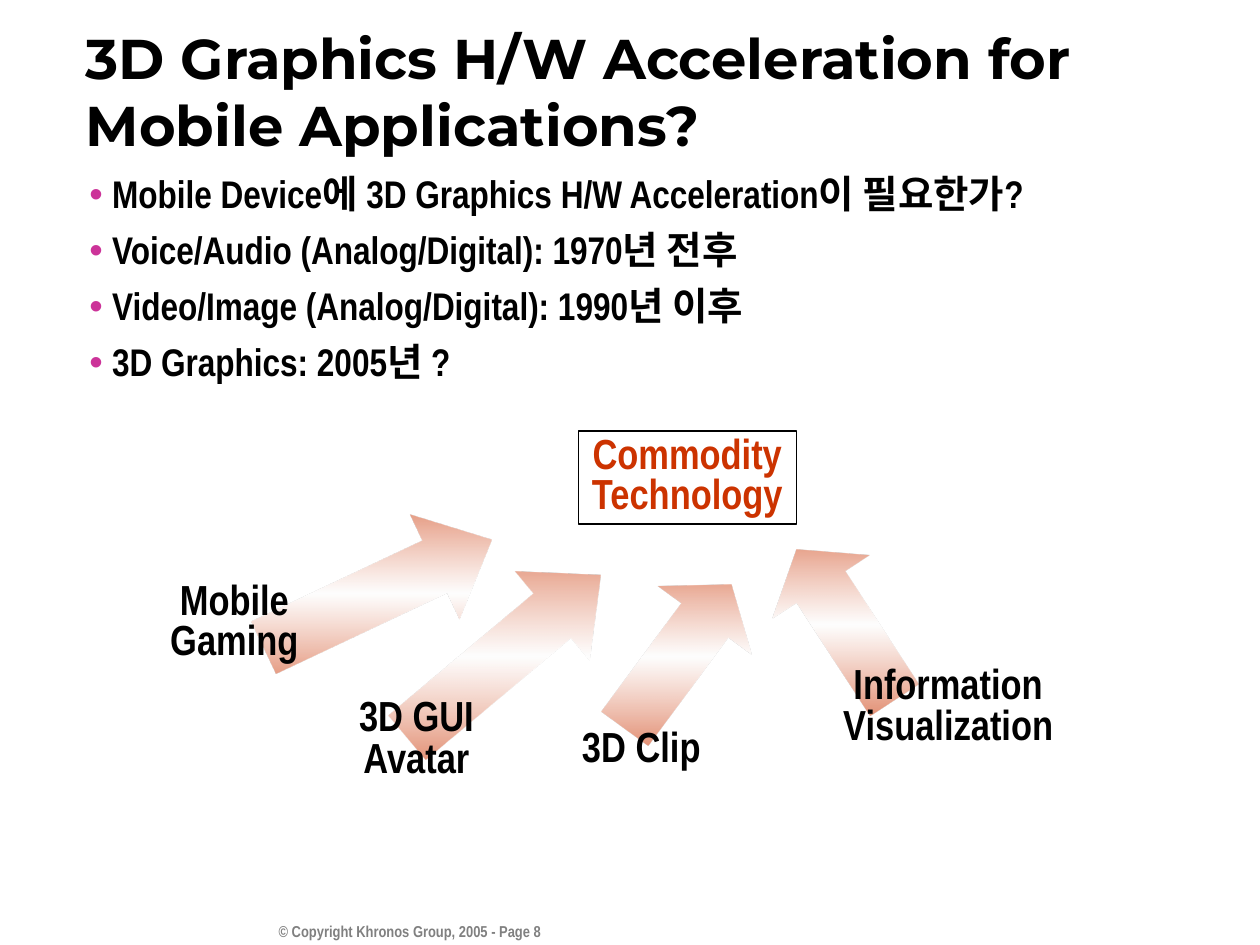
from dataclasses import dataclass

import lxml.etree
import pptx
import pptx.dml.color
import pptx.enum.shapes
import pptx.enum.text
import pptx.oxml
import pptx.oxml.ns
import pptx.util

Inches = pptx.util.Inches
Pt = pptx.util.Pt
RGBColor = pptx.dml.color.RGBColor
Align = pptx.enum.text.PP_ALIGN
Anchor = pptx.enum.text.MSO_ANCHOR
AutoSize = pptx.enum.text.MSO_AUTO_SIZE
Preset = pptx.enum.shapes.MSO_SHAPE
qn = pptx.oxml.ns.qn

BLACK = RGBColor(0x00, 0x00, 0x00)
WHITE = RGBColor(0xFF, 0xFF, 0xFF)
GRAY = RGBColor(0x80, 0x80, 0x80)
RED = RGBColor(0xCC, 0x33, 0x00)
PALE = RGBColor(0xFE, 0xFE, 0xFE)
MAGENTA = RGBColor(0xCC, 0x33, 0x99)

NARROW = "Arial Narrow"
DISPLAY = "Montserrat"
# Position in percent, colour, opacity in percent
ARROW_STOPS = [(0, RED, 65), (50, PALE, 55), (100, RED, 65)]
ARROW_HEIGHT = 0.92


@dataclass
class Box:
    left: float
    top: float
    width: float
    height: float

    def lengths(self) -> list:
        return [Inches(v) for v in (self.left, self.top, self.width, self.height)]


@dataclass
class Arrow:
    left: float
    top: float
    width: float
    rotation: float
    head: float


@dataclass
class Label:
    text: str
    box: Box


TITLE = "3D Graphics H/W Acceleration for Mobile Applications?"
QUESTIONS = [
    "Mobile Device에 3D Graphics H/W Acceleration이 필요한가?",
    "Voice/Audio (Analog/Digital): 1970년 전후",
    "Video/Image (Analog/Digital): 1990년 이후",
    "3D Graphics: 2005년 ?",
]
COPYRIGHT = "© Copyright Khronos Group, 2005 - Page 8"
ARROWS = [
    Arrow(2, 4.25, 2, 334.7, 0.546),
    Arrow(3, 4.75, 2, 320, 0.546),
    Arrow(4.67, 4.75, 1.42, 306.3, 0.386),
    Arrow(6, 4.5, 1.42, 236.9, 0.386),
]
APPLICATIONS = [
    Label("Mobile\vGaming", Box(1.25, 4.58, 1.22, 0.74)),
    Label("3D GUI", Box(2.75, 5.5, 1.11, 0.42)),
    Label("Avatar", Box(2.78, 5.83, 1.05, 0.42)),
    Label("Information\vVisualization", Box(6.59, 5.25, 1.87, 0.74)),
    Label("3D Clip", Box(4.52, 5.75, 1.14, 0.42)),
]


def add_bullet(paragraph) -> None:
    properties = paragraph._p.get_or_add_pPr()
    properties.set("marL", str(Inches(0.18)))
    properties.set("indent", str(-Inches(0.18)))
    colour = lxml.etree.SubElement(properties, qn("a:buClr"))
    lxml.etree.SubElement(colour, qn("a:srgbClr"), val=str(MAGENTA))
    lxml.etree.SubElement(properties, qn("a:buChar"), char="•")


def write(shape, lines: list[str], *, size: float, font: str = NARROW,
          color: RGBColor = BLACK, align=Align.LEFT, anchor=Anchor.TOP,
          spacing: float = 1.0, before: float = 0, bulleted: bool = False,
          wrap: bool = True, auto_size=AutoSize.NONE) -> None:
    """Fill a shape with one bold paragraph per line."""
    frame = shape.text_frame
    frame.word_wrap = wrap
    frame.auto_size = auto_size
    frame.vertical_anchor = anchor
    for index, line in enumerate(lines):
        paragraph = frame.add_paragraph() if index else frame.paragraphs[0]
        paragraph.text = line
        if bulleted:
            add_bullet(paragraph)
        paragraph.alignment = align
        paragraph.line_spacing = spacing
        paragraph.space_before = Pt(before if index else 0)
        for run in paragraph.runs:
            run.font.size = Pt(size)
            run.font.name = font
            run.font.bold = True
            run.font.color.rgb = color


def write_label(shape, text: str, color: RGBColor = BLACK) -> None:
    write(shape, [text], size=24, color=color, align=Align.CENTER, spacing=0.8,
          wrap=False, auto_size=AutoSize.SHAPE_TO_FIT_TEXT)


def place(placeholder, box: Box):
    (placeholder.left, placeholder.top,
     placeholder.width, placeholder.height) = box.lengths()
    return placeholder


def draw_arrow(slide, arrow: Arrow) -> None:
    box = Box(arrow.left, arrow.top, arrow.width, ARROW_HEIGHT)
    shape = slide.shapes.add_shape(Preset.RIGHT_ARROW, *box.lengths())
    shape.shadow.inherit = False
    shape.line.fill.background()
    shape.adjustments[0] = 0.5
    shape.adjustments[1] = arrow.head
    shape.rotation = arrow.rotation

    # The gradient stays vertical on the slide whatever the rotation
    shape.fill.gradient()
    shape.fill.gradient_angle = arrow.rotation - 90
    stops = shape._element.spPr.find(qn("a:gradFill")).find(qn("a:gsLst"))
    for stop in list(stops):
        stops.remove(stop)
    for position, color, opacity in ARROW_STOPS:
        stop = lxml.etree.SubElement(stops, qn("a:gs"), pos=str(position * 1000))
        tint = lxml.etree.SubElement(stop, qn("a:srgbClr"), val=str(color))
        lxml.etree.SubElement(tint, qn("a:alpha"), val=str(opacity * 1000))


def main() -> None:
    deck = pptx.Presentation()
    deck.slide_width, deck.slide_height = Inches(10), Inches(7.5)
    slide = deck.slides.add_slide(deck.slide_layouts[1])

    # Copyright line
    copyright_line = slide.shapes.add_textbox(*Box(2, 7.27, 2.39, 0.33).lengths())
    write(copyright_line, [COPYRIGHT], size=9, color=GRAY, align=Align.RIGHT)

    # Title and bullet list
    title = place(slide.shapes.title, Box(0.58, 0.51, 9.37, 0.42))
    write(title, [TITLE], size=32, font=DISPLAY, anchor=Anchor.MIDDLE)
    questions = place(slide.placeholders[1], Box(0.61, 1.33, 9.14, 5.5))
    write(questions, QUESTIONS, size=22, spacing=0.95, before=6.9, bulleted=True)

    # Arrows towards the goal
    for arrow in ARROWS:
        draw_arrow(slide, arrow)

    # Goal
    goal = slide.shapes.add_shape(Preset.RECTANGLE, *Box(4.59, 3.42, 1.73, 0.74).lengths())
    goal.shadow.inherit = False
    goal.fill.solid()
    goal.fill.fore_color.rgb = WHITE
    goal.line.color.rgb = BLACK
    goal.line.width = Pt(0.75)
    write_label(goal, "Commodity\vTechnology", RED)

    # Applications at the arrow tails
    for application in APPLICATIONS:
        label = slide.shapes.add_textbox(*application.box.lengths())
        write_label(label, application.text)

    deck.save("out.pptx")


if __name__ == "__main__":
    main()
